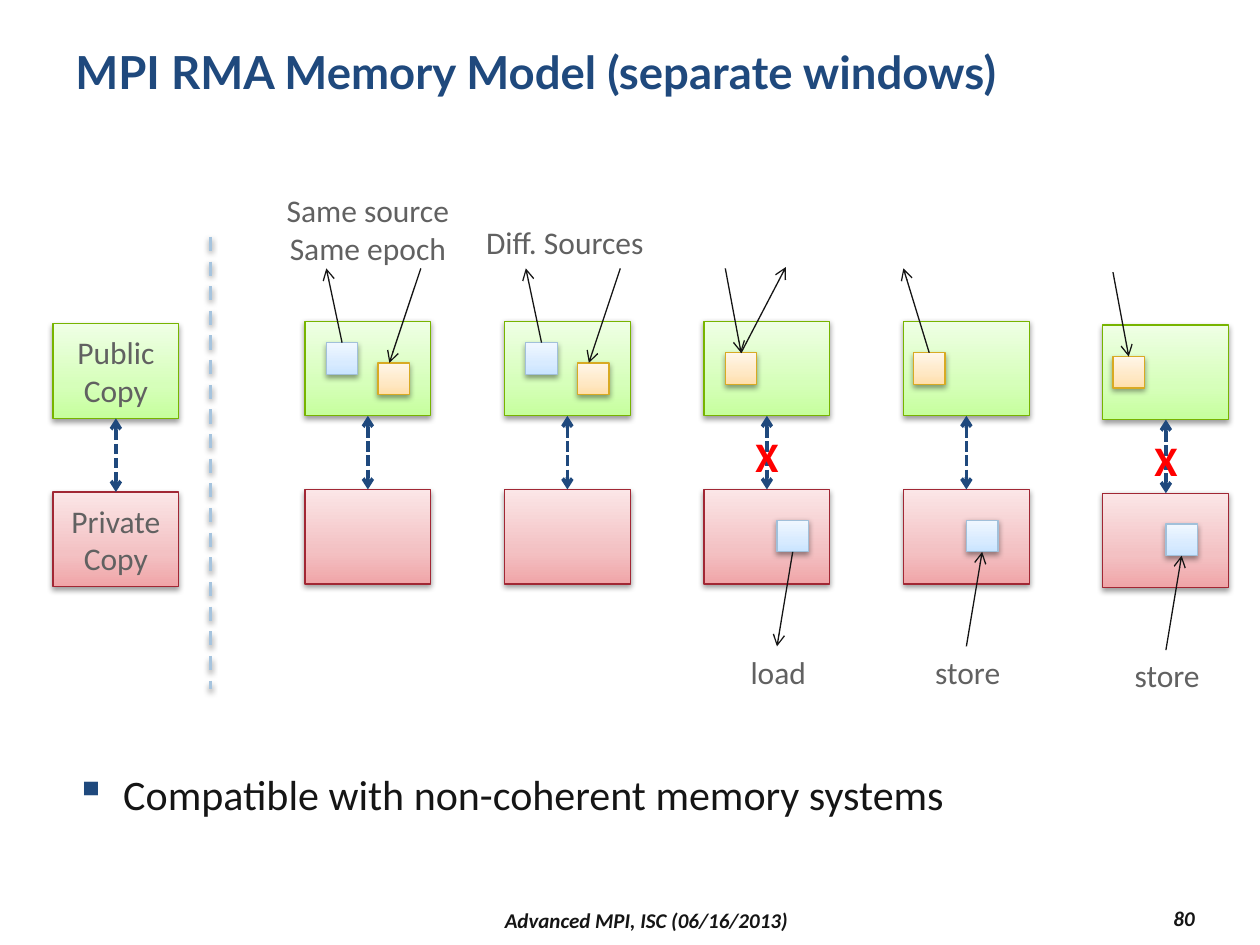
import copy
import dataclasses

import lxml.etree
import pptx
import pptx.dml.color
import pptx.enum.dml
import pptx.enum.shapes
import pptx.enum.text
import pptx.oxml.ns
import pptx.util

Inches = pptx.util.Inches
Pt = pptx.util.Pt
qn = pptx.oxml.ns.qn
Align = pptx.enum.text.PP_ALIGN
Anchor = pptx.enum.text.MSO_ANCHOR
Dash = pptx.enum.dml.MSO_LINE


@dataclasses.dataclass(frozen=True)
class Theme:
    """Colours, type styles and line styles of the slide."""
    navy = "1F497D"
    boxes = {
        "public": ("77B400", ("C6FF9D", "D6FFBA", "EFFFE5")),
        "private": ("A12734", ("F0A5A8", "F3C1C3", "FBE6E7")),
        "blue": ("A1C0DA", ("C9E4FF", "D8EBFF", "F0F7FF")),
        "orange": ("D8AA23", ("FFDFAB", "FFE8C4", "FFF6E9")),
    }
    stops = (0, 0.35, 1)
    title = dict(name="Lato", size=Pt(26), bold=True, color=navy)
    body = dict(name="Calibri", size=Pt(24), color="151515")
    label = dict(name="Calibri", size=Pt(18), color="616161")
    cross = dict(name="Calibri", size=Pt(24), bold=True, color="FF0000")
    footer = dict(name="Calibri", size=Pt(12), bold=True, italic=True, color="151515")
    access = dict(color="151515", width=0.75, ends=("tailEnd",))
    sync = dict(color=navy, width=2, dash=Dash.SQUARE_DOT, ends=("headEnd", "tailEnd"))
    divider = dict(color="A6C4DE", width=2, dash=Dash.DASH, shadow=True)


THEME = Theme()
PAIR_CELLS = {"blue": (0.17, 0.17), "orange": (0.58, 0.33)}
PAIR_ARROWS = [(("blue", 0), (0.17, -0.42)), ((0.92, -0.42), (0.67, 0.33))]
STORE_CELLS = {"orange": (0.08, 0.25), "blue": (0.5, 1.58)}
STORE_ARROW = ((0.5, 2.58), ("blue", 2))
STORE_LABEL = ("store", 0.51, 2.58, 0.72, 0.4)
CASES = [
    dict(top=2.55, cells=PAIR_CELLS, arrows=PAIR_ARROWS,
         label=("Same source\nSame epoch", 0.5, -1.08, 1.5, 0.71)),
    dict(top=2.55, cells=PAIR_CELLS, arrows=PAIR_ARROWS,
         label=("Diff. Sources", 0.48, -0.83, 1.46, 0.4)),
    dict(top=2.55, cells={"orange": (0.17, 0.25), "blue": (0.58, 1.58)},
         arrows=[((0.17, -0.42), ("orange", 0)), (("orange", 0), (0.65, -0.43)),
                 (("blue", 2), (0.58, 2.58))],
         label=("load", 0.59, 2.58, 0.65, 0.4), crossed=True),
    dict(top=2.55, cells=STORE_CELLS,
         arrows=[(("orange", 0), (0, -0.42)), STORE_ARROW], label=STORE_LABEL),
    dict(top=2.58, cells=STORE_CELLS,
         arrows=[((0.08, -0.42), ("orange", 0)), STORE_ARROW],
         label=STORE_LABEL, crossed=True),
]


def rgb(value):
    """Return the colour object for a hex string."""
    return pptx.dml.color.RGBColor.from_string(value)


def set_font(font, style):
    """Apply a type style to a font."""
    for name, value in style.items():
        if name == "color":
            font.color.rgb = rgb(value)
        else:
            setattr(font, name, value)


def write(shape, text, style, align=Align.LEFT, anchor=Anchor.TOP, wrap=True):
    """Write one paragraph per line of text into a shape."""
    frame = shape.text_frame
    frame.text = text
    frame.word_wrap = wrap
    frame.vertical_anchor = anchor
    for paragraph in frame.paragraphs:
        paragraph.alignment = align
        set_font(paragraph.font, style)


def add_text(slide, box, text, style, **layout):
    """Add a text box and return it."""
    shape = slide.shapes.add_textbox(*map(Inches, box))
    write(shape, text, style, **layout)
    return shape


def add_shadow(effects):
    """Put the soft downward shadow into an effect list."""
    shadow = lxml.etree.SubElement(effects, qn("a:outerShdw"), blurRad="40000",
                                   dist="20000", dir="5400000", rotWithShape="0")
    color = lxml.etree.SubElement(shadow, qn("a:srgbClr"), val="000000")
    lxml.etree.SubElement(color, qn("a:alpha"), val="38000")


def add_box(slide, box, kind):
    """Add a shaded rectangle of the given kind."""
    outline, shades = THEME.boxes[kind]
    shape = slide.shapes.add_shape(pptx.enum.shapes.MSO_SHAPE.RECTANGLE, *map(Inches, box))
    shape.fill.gradient()
    shape.fill.gradient_angle = 90
    stop_list = shape._element.spPr.find(".//" + qn("a:gsLst"))
    stop_list.insert(1, copy.deepcopy(stop_list[0]))
    for stop, position, shade in zip(shape.fill.gradient_stops, THEME.stops, shades):
        stop.position = position
        stop.color.rgb = rgb(shade)
    shape.line.color.rgb = rgb(outline)
    shape.line.width = Pt(0.75)
    shape.shadow.inherit = False
    add_shadow(shape._element.spPr.find(qn("a:effectLst")))
    return shape


def add_line(slide, begin, end, color, width, dash=None, ends=(), shadow=False):
    """Draw a straight line between points or (shape, side) joints."""
    joints = [isinstance(place[0], (int, float)) for place in (begin, end)]
    points = [tuple(map(Inches, place)) if is_point else (0, 0)
              for place, is_point in zip((begin, end), joints)]
    line = slide.shapes.add_connector(
        pptx.enum.shapes.MSO_CONNECTOR.STRAIGHT, *points[0], *points[1])
    if not joints[0]:
        line.begin_connect(*begin)
    if not joints[1]:
        line.end_connect(*end)
    line.line.color.rgb = rgb(color)
    line.line.width = Pt(width)
    if dash is not None:
        line.line.dash_style = dash
    properties = line._element.spPr
    for name in ends:
        lxml.etree.SubElement(properties.find(qn("a:ln")), qn("a:" + name), type="arrow")
    effects = lxml.etree.SubElement(properties, qn("a:effectLst"))
    if shadow:
        add_shadow(effects)


def add_copies(slide, left, top, labels=("", "")):
    """Add a public copy above a private copy, joined by a sync arrow."""
    copies = []
    for kind, offset, text in zip(("public", "private"), (0, 1.335), labels):
        shape = add_box(slide, (left, top + offset, 1, 0.75), kind)
        if text:
            write(shape, text, THEME.label, align=Align.CENTER, anchor=Anchor.MIDDLE)
        copies.append(shape)
    add_line(slide, (copies[0], 2), (copies[1], 0), **THEME.sync)


def add_case(slide, left, top, cells, arrows, label, crossed=False):
    """Add one access case: both copies, their cells, arrows and label."""
    add_copies(slide, left, top)
    shapes = {kind: add_box(slide, (left + x, top + y, 0.25, 0.25), kind)
              for kind, (x, y) in cells.items()}

    def place(spot):
        """Turn a cell side or an offset into a line end."""
        if spot[0] in shapes:
            return shapes[spot[0]], spot[1]
        return left + spot[0], top + spot[1]

    for begin, end in arrows:
        add_line(slide, place(begin), place(end), **THEME.access)
    texts = [(label, THEME.label)]
    if crossed:
        texts.append((("X", 0.5, 0.82, 0.39, 0.5), THEME.cross))
    for (text, center, offset, width, height), style in texts:
        add_text(slide, (left + center - width / 2, top + offset, width, height),
                 text, style, align=Align.CENTER, wrap=False)


def add_bullet(slide, box, text):
    """Add the bulleted statement."""
    paragraph = add_text(slide, box, text, THEME.body).text_frame.paragraphs[0]
    properties = paragraph._p.get_or_add_pPr()
    properties.set("marL", str(Inches(0.38)))
    properties.set("indent", str(-Inches(0.38)))
    paragraph.line_spacing = 1.2
    color = lxml.etree.Element(qn("a:buClr"))
    lxml.etree.SubElement(color, qn("a:srgbClr"), val=THEME.navy)
    mark = lxml.etree.Element(qn("a:buChar"), char="▪")
    for element in (color, mark):
        properties.find(qn("a:defRPr")).addprevious(element)


def add_footer(slide, box, number_box):
    """Add the event name and the page number."""
    for area, text, align in ((box, "Advanced MPI, ISC (06/16/2013)", Align.CENTER),
                              (number_box, "80", Align.RIGHT)):
        add_text(slide, area, text, THEME.footer, align=align, anchor=Anchor.MIDDLE)


def main():
    """Build the slide and save it."""
    presentation = pptx.Presentation()
    presentation.slide_width, presentation.slide_height = Inches(10), Inches(7.5)
    slide = presentation.slides.add_slide(presentation.slide_layouts[6])
    add_text(slide, (0.5, 0.3, 9.17, 0.87), "MPI RMA Memory Model (separate windows)", THEME.title)
    add_copies(slide, 0.42, 2.57, ("Public\nCopy", "Private\nCopy"))
    add_line(slide, (1.67, 1.88), (1.67, 5.47), **THEME.divider)
    for index, case in enumerate(CASES):
        add_case(slide, 2.42 + index * 19 / 12, **case)
    add_bullet(slide, (0.5, 5.97, 9, 0.95), "Compatible with non-coherent memory systems")
    add_footer(slide, (2.17, 7.17, 5.92, 0.27), (8.5, 7.15, 1.08, 0.27))
    presentation.save("out.pptx")


if __name__ == "__main__":
    main()
